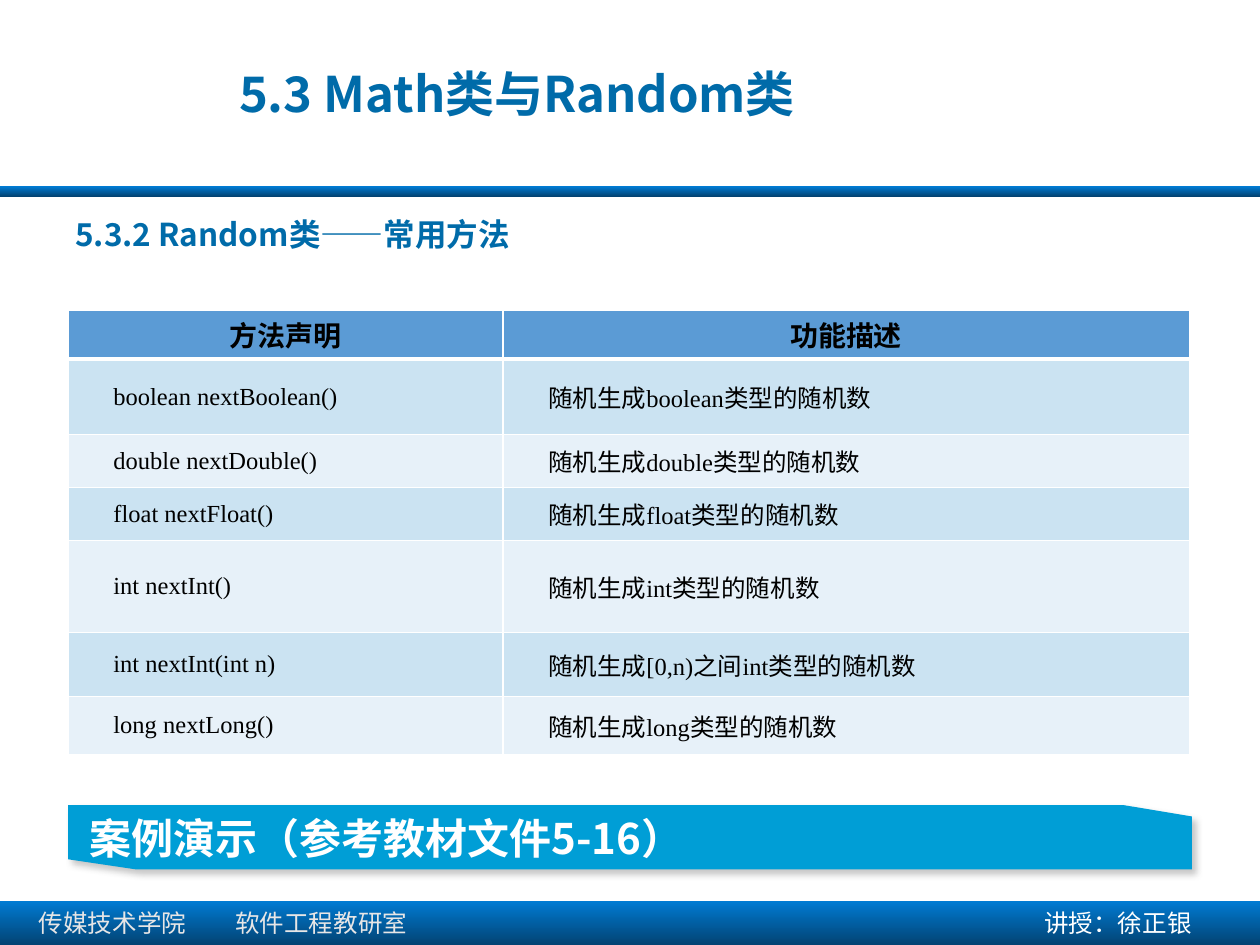
from lxml import etree
from pptx import Presentation
from pptx.dml.color import RGBColor
from pptx.enum.shapes import MSO_SHAPE
from pptx.enum.text import MSO_ANCHOR, PP_ALIGN
from pptx.oxml.ns import qn
from pptx.util import Inches, Pt

RECTANGLE = MSO_SHAPE.RECTANGLE
TOP, MIDDLE = MSO_ANCHOR.TOP, MSO_ANCHOR.MIDDLE
LEFT, CENTER, JUSTIFY = PP_ALIGN.LEFT, PP_ALIGN.CENTER, PP_ALIGN.JUSTIFY
CJK_FONT = "Noto Sans CJK SC"

COLORS = {
    "bar_top": "007BD3", "bar_bottom": "034373",
    "heading": "006BA9", "banner": "009ED6", "shadow": "808080",
    "table_head": "5B9BD5", "band_dark": "CBE3F2", "band_light": "E7F1F9",
    "footer": "E7E6E6", "white": "FFFFFF", "black": "000000",
}

FORMATS = {
    "title": {"name": CJK_FONT, "size": 28, "bold": True, "color": "heading"},
    "subtitle": {"name": CJK_FONT, "size": 18, "bold": True, "color": "heading"},
    "banner": {"name": CJK_FONT, "size": 24, "bold": True, "color": "white"},
    "department": {"name": "Arial", "size": 14, "color": "footer"},
    "lecturer": {"name": "Arial", "size": 14, "color": "white"},
    "table_head": {"name": "Calibri", "size": 16, "bold": True, "color": "black"},
    "table_body": {"name": "Times New Roman", "size": 14, "bold": False, "color": "black"},
}

BARS = [(0, 1.48, 10, 0.08), (0, 7.15, 10, 0.35)]
TEXTS = [
    ("department", "传媒技术学院\t软件工程教研室", (0.21, 7.16, 3.78, 0.34), TOP),
    ("lecturer", "讲授：徐正银", (8.19, 7.16, 1.78, 0.34), TOP),
    ("title", "5.3 Math类与Random类", (1.8, 0.43, 5.83, 0.61), MIDDLE),
    ("subtitle", "5.3.2 Random类——常用方法", (0.5, 1.66, 9, 0.71), TOP),
]
DEPARTMENT_TAB = 1.56

HEADER = ("方法声明", "功能描述")
METHODS = [
    ("boolean nextBoolean()", "boolean"),
    ("double nextDouble()", "double"),
    ("float nextFloat()", "float"),
    ("int nextInt()", "int"),
    ("int nextInt(int n)", "[0,n)之间int"),
    ("long nextLong()", "long"),
]
TABLE_AT = (0.54, 2.46, 8.9, 3.53)
COLUMN_WIDTHS = [3.45, 5.45]
ROW_HEIGHTS = [0.39, 0.6, 0.42, 0.42, 0.73, 0.51, 0.46]

BANNER_TEXT = "案例演示（参考教材文件5-16）"
BANNER_POINTS = [(0.54, 6.39), (8.92, 6.39), (9.46, 6.48),
                 (9.46, 6.9), (1.08, 6.9), (0.54, 6.82)]


def rgb(name):
    return RGBColor.from_string(COLORS[name])


def add_color(parent, name):
    fill = etree.SubElement(parent, qn("a:solidFill"))
    return etree.SubElement(fill, qn("a:srgbClr"), val=COLORS[name])


def write(para, text, style):
    span = para.add_run() if "\t" not in text else None
    if span is None:
        para.text = text
        span = para.runs[0]
    else:
        span.text = text
    for span in para.runs:
        for key, value in FORMATS[style].items():
            if key == "color":
                span.font.color.rgb = rgb(value)
            else:
                setattr(span.font, key, Pt(value) if key == "size" else value)
        east_asian = etree.SubElement(span.font._element, qn("a:ea"))
        east_asian.set("typeface", CJK_FONT)


def add_bar(page, at):
    bar = page.shapes.add_shape(RECTANGLE, *map(Inches, at))
    bar.shadow.inherit = False
    bar.line.fill.background()
    bar.fill.gradient()
    bar.fill.gradient_angle = 270
    for stop, name, position in zip(bar.fill.gradient_stops,
                                    ("bar_top", "bar_bottom"), (0, 1)):
        stop.color.rgb = rgb(name)
        stop.position = position


def add_text(page, style, text, at, anchor):
    box = page.shapes.add_textbox(*map(Inches, at))
    frame = box.text_frame
    frame.word_wrap = True
    frame.vertical_anchor = anchor
    para = frame.paragraphs[0]
    if "\t" in text:
        tabs = etree.SubElement(para._p.get_or_add_pPr(), qn("a:tabLst"))
        etree.SubElement(tabs, qn("a:tab"), pos=str(Inches(DEPARTMENT_TAB)), algn="l")
    write(para, text, style)


def set_borders(cell, widths):
    """Draw white borders; widths maps a side (L, R, T, B) to points."""
    properties = cell._tc.get_or_add_tcPr()
    for side, width in widths.items():
        line = etree.SubElement(properties, qn(f"a:ln{side}"), w=str(Pt(width)))
        add_color(line, "white")


def fill_cell(cell, text, style, fill, align, borders):
    margins = {"margin_left": 0.07, "margin_right": 0.07, "margin_top": 0, "margin_bottom": 0}
    for key, value in margins.items():
        setattr(cell, key, Inches(value))
    cell.vertical_anchor = MIDDLE
    set_borders(cell, borders)
    cell.fill.solid()
    cell.fill.fore_color.rgb = rgb(fill)
    para = cell.text_frame.paragraphs[0]
    para.alignment = align
    if style == "table_body":
        para._p.get_or_add_pPr().set("indent", str(Inches(0.29)))
    write(para, text, style)


def add_method_table(page):
    rows = [HEADER] + [(method, f"随机生成{kind}类型的随机数") for method, kind in METHODS]
    table = page.shapes.add_table(len(rows), len(HEADER), *map(Inches, TABLE_AT)).table
    for column, width in zip(table.columns, COLUMN_WIDTHS):
        column.width = Inches(width)
    for row, height in zip(table.rows, ROW_HEIGHTS):
        row.height = Inches(height)
    for i, row in enumerate(rows):
        borders = {"L": 1, "R": 1, "T": 3 if i == 1 else 1, "B": 3 if i == 0 else 1}
        if i == 0:
            style, fill, aligns = "table_head", "table_head", (CENTER, CENTER)
        else:
            style, aligns = "table_body", (LEFT, JUSTIFY)
            fill = "band_dark" if i % 2 else "band_light"
        for j, text in enumerate(row):
            fill_cell(table.cell(i, j), text, style, fill, aligns[j], borders)


def add_banner(page):
    points = [(Inches(x), Inches(y)) for x, y in BANNER_POINTS]
    builder = page.shapes.build_freeform(*points[0])
    builder.add_line_segments(points[1:], close=True)
    banner = builder.convert_to_shape()
    banner.fill.solid()
    banner.fill.fore_color.rgb = rgb("banner")
    banner.line.fill.background()
    banner.shadow.inherit = False
    effects = banner._element.spPr.find(qn("a:effectLst"))
    shadow = etree.SubElement(effects, qn("a:outerShdw"), blurRad=str(Pt(4)),
                              dist=str(Pt(3)), dir="2700000", algn="tl", rotWithShape="0")
    color = etree.SubElement(shadow, qn("a:srgbClr"), val=COLORS["shadow"])
    etree.SubElement(color, qn("a:alpha"), val="43000")
    frame = banner.text_frame
    frame.word_wrap = True
    frame.vertical_anchor = MIDDLE
    frame.margin_left = Inches(0.17)
    frame.margin_top = frame.margin_bottom = 0
    frame.paragraphs[0].alignment = LEFT
    write(frame.paragraphs[0], BANNER_TEXT, "banner")


def main():
    deck = Presentation()
    deck.slide_width, deck.slide_height = Inches(10), Inches(7.5)
    page = deck.slides.add_slide(deck.slide_layouts[6])
    for at in BARS:
        add_bar(page, at)
    for entry in TEXTS:
        add_text(page, *entry)
    add_method_table(page)
    add_banner(page)
    deck.save("out.pptx")


if __name__ == "__main__":
    main()
